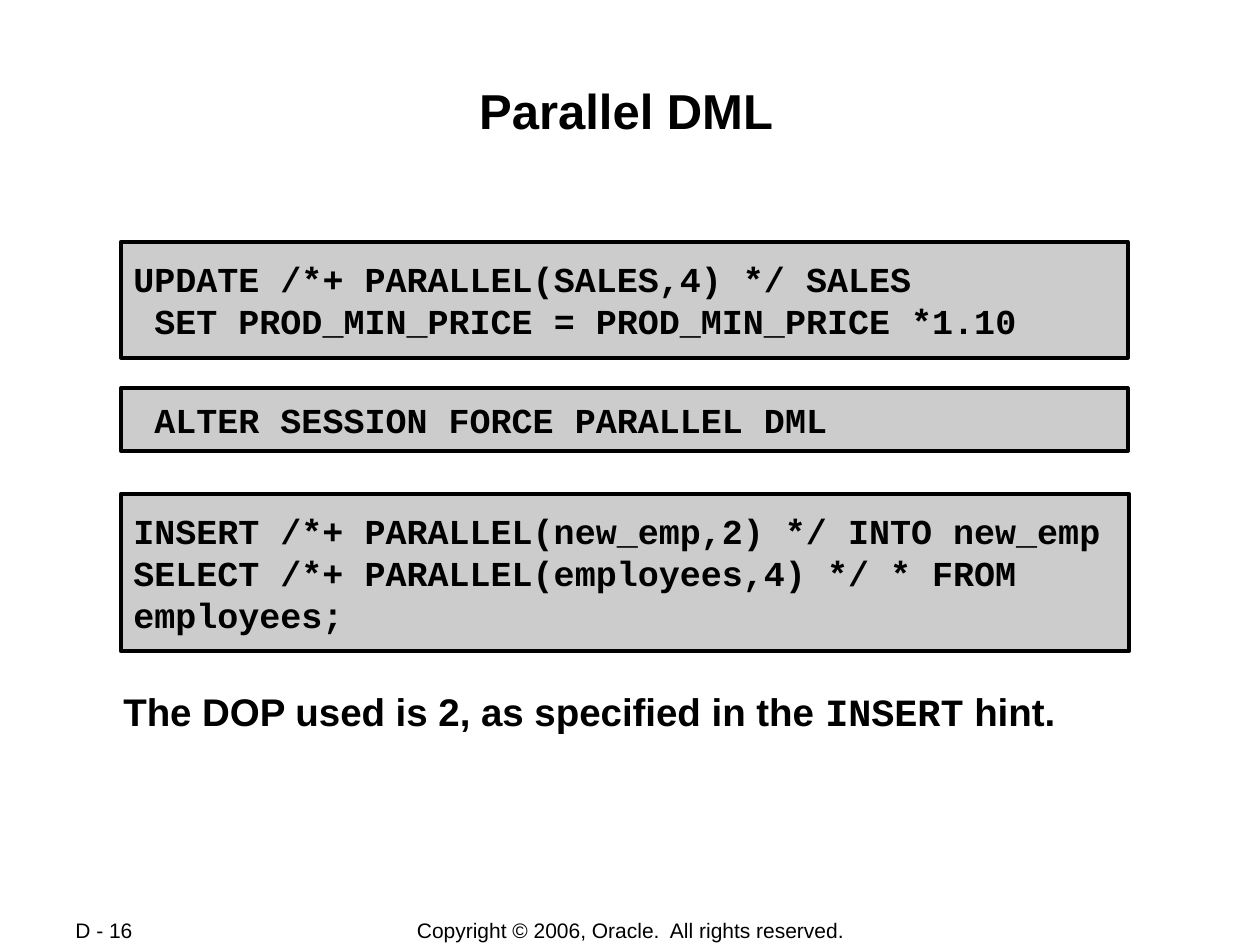
import pptx
import pptx.util
import pptx.dml.color
import pptx.enum.shapes
import pptx.enum.text

Pt = pptx.util.Pt
Align = pptx.enum.text.PP_ALIGN
Anchor = pptx.enum.text.MSO_ANCHOR


def color(code):
    return pptx.dml.color.RGBColor.from_string(code)


def write(shape, lines, size, font, bold, align, anchor, side, top=0.7):
    frame = shape.text_frame
    frame.word_wrap = True
    frame.vertical_anchor = anchor
    frame.margin_left = frame.margin_right = Pt(side)
    frame.margin_top, frame.margin_bottom = Pt(top), Pt(0.7)
    for i, line in enumerate(lines):
        para = frame.add_paragraph() if i else frame.paragraphs[0]
        para.alignment = align
        para.font.size = Pt(size)
        para.font.bold = bold
        para.font.color.rgb = color("000000")
        if font:
            para.font.name = font
        for text, face in line if isinstance(line, list) else [(line, None)]:
            run = para.add_run()
            run.text = text
            if face:
                run.font.name = face


deck = pptx.Presentation()
deck.slide_width, deck.slide_height = Pt(720), Pt(540)
slide = deck.slides.add_slide(deck.slide_layouts[6])
shapes = slide.shapes

footer = [
    (36, 76.3, "D - 16", Align.LEFT),
    (198.7, 323.3, "Copyright © 2006, Oracle.  All rights reserved.", Align.CENTER),
]
for left, width, text, align in footer:
    box = shapes.add_textbox(Pt(left), Pt(524.4), Pt(width), Pt(14.8))
    write(box, [text], 12, "Arial", False, align, Anchor.MIDDLE, 7.2)

title = shapes.add_textbox(Pt(69.8), Pt(41.8), Pt(576), Pt(69.1))
write(title, ["Parallel DML"], 28, "Arial", True, Align.CENTER, Anchor.TOP, 0.7, 4.3)

hint = [
    ("The DOP used is 2, as specified in the ", "Arial"),
    ("INSERT", "Courier New"),
    (" hint.", "Arial"),
]
note = shapes.add_textbox(Pt(69.8), Pt(390.2), Pt(580.3), Pt(28.1))
write(note, [hint], 22, None, True, Align.LEFT, Anchor.TOP, 0.7, 2.9)

panels = [
    (138.2, 575.3, 66.2, [
        "UPDATE /*+ PARALLEL(SALES,4) */ SALES",
        " SET PROD_MIN_PRICE = PROD_MIN_PRICE *1.10",
    ]),
    (221.8, 575.3, 36, [" ALTER SESSION FORCE PARALLEL DML"]),
    (282.2, 576, 90, [
        "INSERT /*+ PARALLEL(new_emp,2) */ INTO new_emp "
        "SELECT /*+ PARALLEL(employees,4) */ * FROM employees;",
    ]),
]
for top, width, height, code in panels:
    panel = shapes.add_shape(
        pptx.enum.shapes.MSO_SHAPE.RECTANGLE, Pt(69.1), Pt(top), Pt(width), Pt(height)
    )
    panel.shadow.inherit = False
    panel.fill.solid()
    panel.fill.fore_color.rgb = color("CCCCCC")
    panel.line.color.rgb = color("000000")
    panel.line.width = Pt(2.25)
    write(panel, code, 20, "Courier New", True, Align.LEFT, Anchor.MIDDLE, 7.2)

deck.save("out.pptx")
